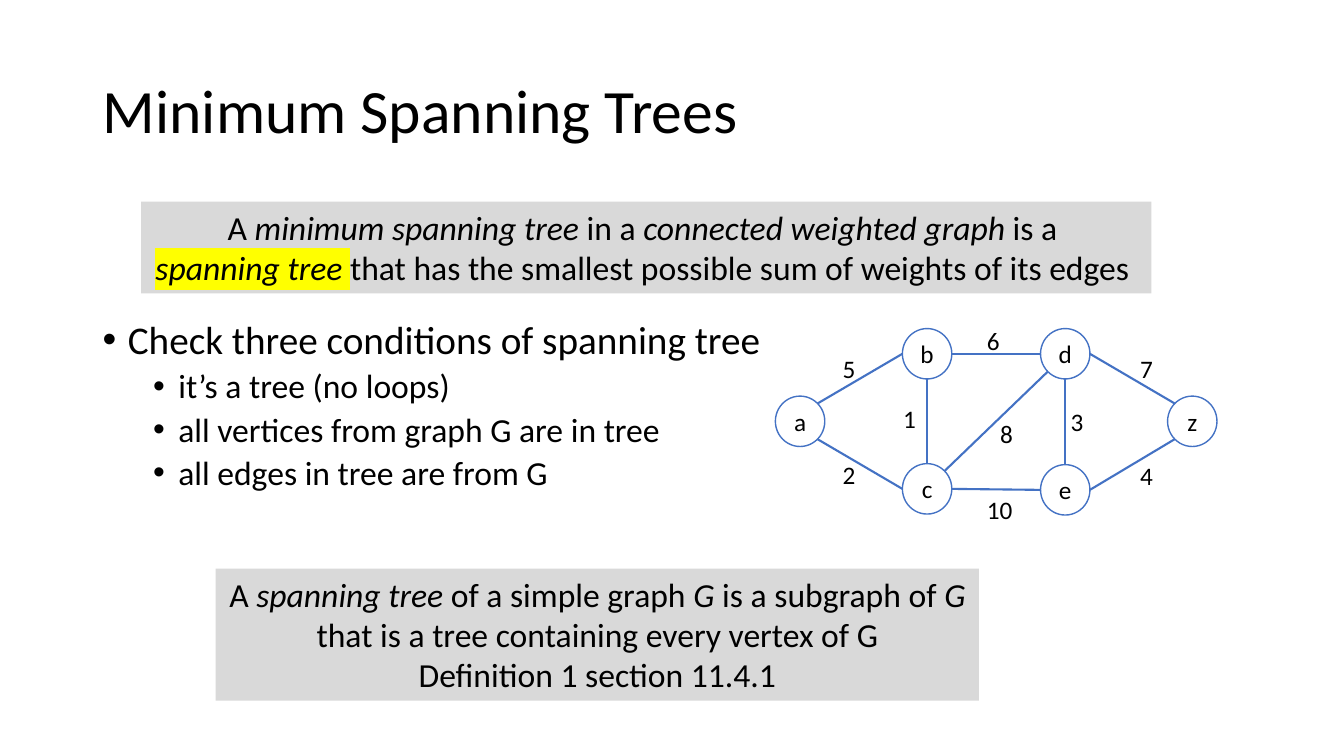
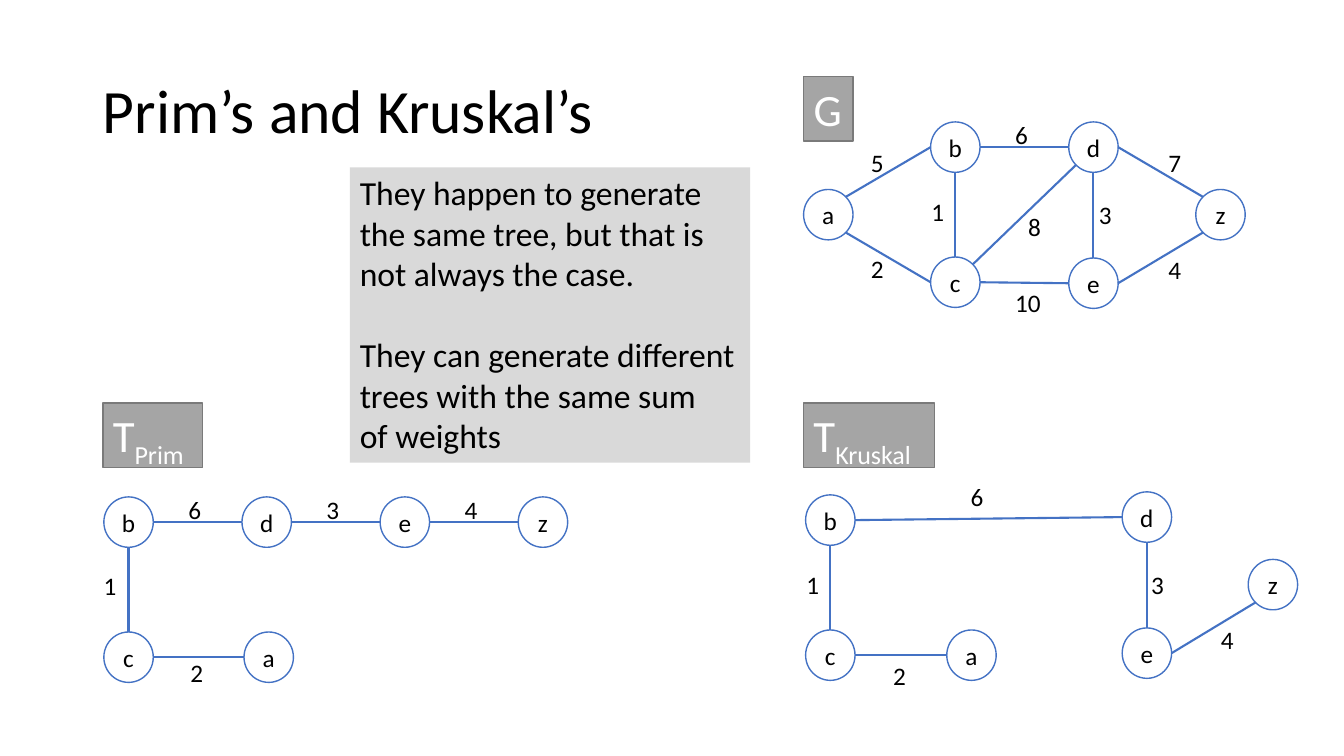
from math import sqrt

from lxml.etree import SubElement
from pptx import Presentation
from pptx.dml.color import RGBColor
from pptx.enum.shapes import MSO_CONNECTOR, MSO_SHAPE
from pptx.enum.text import MSO_ANCHOR, MSO_AUTO_SIZE, PP_ALIGN
from pptx.oxml.ns import qn
from pptx.util import Inches, Pt

BLACK = RGBColor(0x00, 0x00, 0x00)
WHITE = RGBColor(0xFF, 0xFF, 0xFF)
BLUE = RGBColor(0x44, 0x72, 0xC4)
LIGHT_GRAY = RGBColor(0xD9, 0xD9, 0xD9)
MID_GRAY = RGBColor(0xA5, 0xA5, 0xA5)
DARK_GRAY = RGBColor(0x7A, 0x7A, 0x7A)
YELLOW = RGBColor(0xFF, 0xFF, 0x00)

FONT = "Calibri"
TITLE_ONLY = 5
NODE_WIDTH, NODE_HEIGHT = 0.49, 0.5
LABEL_HEIGHT = 0.4
DIAGONAL = sqrt(0.5)
SITES = {
    "n": (0, -1), "s": (0, 1), "w": (-1, 0), "e": (1, 0),
    "nw": (-DIAGONAL, -DIAGONAL), "ne": (DIAGONAL, -DIAGONAL),
    "sw": (-DIAGONAL, DIAGONAL), "se": (DIAGONAL, DIAGONAL),
}

GRAPH_NODES = {
    "a": (0, 0.67), "b": (1.26, 0), "c": (1.26, 1.34),
    "d": (2.63, 0), "e": (2.63, 1.35), "z": (3.89, 0.67),
}
GRAPH_EDGES = [
    ("b", "s", "c", "n", "1", (1.17, 0.69)),
    ("d", "s", "e", "n", "3", (2.83, 0.72)),
    ("d", "w", "b", "e", "6", (2, -0.08)),
    ("e", "w", "c", "e", "10", (2, 1.59)),
    ("a", "ne", "b", "w", "5", (0.57, 0.2)),
    ("a", "se", "c", "w", "2", (0.57, 1.25)),
    ("d", "sw", "c", "ne", "8", (2.13, 0.84)),
    ("z", "nw", "d", "e", "7", (3.52, 0.2)),
    ("z", "sw", "e", "e", "4", (3.52, 1.26)),
]

KRUSKAL_NODES = {
    "a": (1.4, 1.37), "b": (0, 0.03), "c": (0, 1.37),
    "d": (3.14, 0), "e": (3.14, 1.35), "z": (4.39, 0.67),
}
KRUSKAL_EDGES = [
    ("b", "s", "c", "n", "1", (-0.09, 0.72)),
    ("a", "w", "c", "e", "2", (0.77, 1.62)),
    ("d", "s", "e", "n", "3", (3.33, 0.72)),
    ("z", "sw", "e", "e", "4", (4.02, 1.26)),
    ("d", "w", "b", "e", "6", (1.54, -0.15)),
]

PRIM_STEP = 1.37
PRIM_ROW = "bdez"
PRIM_NODES = {name: (index * PRIM_STEP, 0) for index, name in enumerate(PRIM_ROW)}
PRIM_NODES.update({"c": (0, 1.34), "a": (1.39, 1.34)})
PRIM_EDGES = [
    ("b", "s", "c", "n", "1", (-0.1, 0.68)),
    ("a", "w", "c", "e", "2", (0.76, 1.54)),
] + [
    (right, "w", left, "e", weight, (0.74 + index * PRIM_STEP, -0.08))
    for index, (left, right, weight) in enumerate(zip(PRIM_ROW, PRIM_ROW[1:], "634"))
]


def add_run(paragraph, text, size, color=BLACK, style=""):
    run = paragraph.add_run()
    run.text = text
    font = run.font
    font.size = Pt(size)
    font.color.rgb = color
    properties = run._r.get_or_add_rPr()
    if style in ("italic", "highlight"):
        font.italic = True
    if style == "highlight":
        highlight = SubElement(properties, qn("a:highlight"))
        SubElement(highlight, qn("a:srgbClr")).set("val", str(YELLOW))
    if style == "subscript":
        properties.set("baseline", "-25000")
    font.name = FONT


def next_paragraph(frame, index):
    return frame.add_paragraph() if index else frame.paragraphs[0]


def add_title(slide, text):
    title = slide.shapes.title
    title.left, title.top = Inches(0.92), Inches(0.4)
    title.width, title.height = Inches(11.5), Inches(1.45)
    frame = title.text_frame
    frame.auto_size = MSO_AUTO_SIZE.NONE
    frame.vertical_anchor = MSO_ANCHOR.MIDDLE
    paragraph = frame.paragraphs[0]
    paragraph.alignment = PP_ALIGN.LEFT
    paragraph.line_spacing = 0.9
    add_run(paragraph, text, 44)


def add_filled_shape(shapes, kind, box, fill, line=None):
    shape = shapes.add_shape(kind, *map(Inches, box))
    shape.shadow.inherit = False
    shape.fill.solid()
    shape.fill.fore_color.rgb = fill
    if line is None:
        shape.line.fill.background()
    else:
        shape.line.color.rgb = line
        shape.line.width = Pt(1)
    return shape


def fit_text(frame):
    frame.word_wrap = False
    frame.auto_size = MSO_AUTO_SIZE.SHAPE_TO_FIT_TEXT
    frame.vertical_anchor = MSO_ANCHOR.TOP


def add_panel(slide, box, lines, alignment, gap_before=None):
    panel = add_filled_shape(slide.shapes, MSO_SHAPE.RECTANGLE, box, LIGHT_GRAY)
    fit_text(panel.text_frame)
    for index, runs in enumerate(lines):
        paragraph = next_paragraph(panel.text_frame, index)
        paragraph.alignment = alignment
        if index == gap_before:
            paragraph.space_before = Pt(29.3)
        for text, style in runs:
            add_run(paragraph, text, 24, style=style)


def add_tag(slide, left, top, width, name, subscript=""):
    box = (left, top, width, 0.64)
    tag = add_filled_shape(slide.shapes, MSO_SHAPE.RECTANGLE, box, MID_GRAY, DARK_GRAY)
    fit_text(tag.text_frame)
    paragraph = tag.text_frame.paragraphs[0]
    paragraph.alignment = PP_ALIGN.LEFT
    add_run(paragraph, name, 32, WHITE)
    if subscript:
        add_run(paragraph, subscript, 32, WHITE, "subscript")


def add_bullets(slide, box, items):
    text_box = slide.shapes.add_textbox(*map(Inches, box))
    frame = text_box.text_frame
    frame.word_wrap = True
    for index, (level, text) in enumerate(items):
        paragraph = next_paragraph(frame, index)
        paragraph.level = level
        paragraph.line_spacing = 0.9
        paragraph.space_before = Pt(5 if level else 0)
        properties = paragraph._p.get_or_add_pPr()
        properties.set("marL", str(Inches(0.25 + 0.5 * level)))
        properties.set("indent", str(Inches(-0.25)))
        SubElement(properties, qn("a:buFont")).set("typeface", "Arial")
        SubElement(properties, qn("a:buChar")).set("char", "•")
        add_run(paragraph, text, 24 if level else 28)


def add_node(shapes, left, top, name):
    box = (left, top, NODE_WIDTH, NODE_HEIGHT)
    node = add_filled_shape(shapes, MSO_SHAPE.OVAL, box, WHITE, BLUE)
    node.text_frame.vertical_anchor = MSO_ANCHOR.MIDDLE
    paragraph = node.text_frame.paragraphs[0]
    paragraph.alignment = PP_ALIGN.CENTER
    add_run(paragraph, name, 18)


def site_point(corner, site):
    across, down = SITES[site]
    left, top = corner
    return (Inches(left + NODE_WIDTH / 2 * (1 + across)),
            Inches(top + NODE_HEIGHT / 2 * (1 + down)))


def add_edge(shapes, start, end):
    edge = shapes.add_connector(MSO_CONNECTOR.STRAIGHT, *start, *end)
    edge.line.color.rgb = BLUE
    edge.line.width = Pt(1.5)
    SubElement(edge._element.spPr, qn("a:effectLst"))


def add_weight(shapes, left, top, weight):
    width = 0.2 + 0.13 * len(weight)
    label = shapes.add_textbox(*map(Inches, (left, top, width, LABEL_HEIGHT)))
    fit_text(label.text_frame)
    add_run(label.text_frame.paragraphs[0], weight, 18)


def add_graph(slide, left, top, nodes, edges):
    shapes = slide.shapes.add_group_shape().shapes
    corners = {name: (left + x, top + y) for name, (x, y) in nodes.items()}
    for name, corner in corners.items():
        add_node(shapes, *corner, name)
    for start, start_site, end, end_site, weight, (x, y) in edges:
        add_edge(shapes, site_point(corners[start], start_site),
                 site_point(corners[end], end_site))
        add_weight(shapes, left + x, top + y, weight)


def add_titled_slide(presentation, title):
    slide = presentation.slides.add_slide(presentation.slide_layouts[TITLE_ONLY])
    add_title(slide, title)
    return slide


def build_definition_slide(presentation):
    slide = add_titled_slide(presentation, "Minimum Spanning Trees")
    add_panel(slide, (1.4, 2, 10.02, 0.91), [
        [("A ", ""), ("minimum spanning tree ", "italic"), ("in a ", ""),
         ("connected weighted graph ", "italic"), ("is a ", "")],
        [("spanning tree ", "highlight"),
         ("that has the smallest possible sum of weights of its edges ", "")],
    ], PP_ALIGN.CENTER)
    add_graph(slide, 7.69, 3.26, GRAPH_NODES, GRAPH_EDGES)
    add_panel(slide, (2.14, 5.64, 7.57, 1.31), [
        [("A ", ""), ("spanning tree ", "italic"), ("of a simple graph ", ""),
         ("G ", "italic"), ("is a subgraph of ", ""), ("G", "italic")],
        [("that is a tree containing every vertex of G", "")],
        [("Definition 1 section 11.4.1", "")],
    ], PP_ALIGN.CENTER)
    add_bullets(slide, (0.92, 3.13, 6.75, 1.9), [
        (0, "Check three conditions of spanning tree"),
        (1, "it’s a tree (no loops)"),
        (1, "all vertices from graph G are in tree"),
        (1, "all edges in tree are from G"),
    ])


def build_comparison_slide(presentation):
    slide = add_titled_slide(presentation, "Prim’s and Kruskal’s")
    add_tag(slide, 7.97, 4, 1.3, "T", "Kruskal")
    add_graph(slide, 7.99, 4.88, KRUSKAL_NODES, KRUSKAL_EDGES)
    add_graph(slide, 7.97, 1.21, GRAPH_NODES, GRAPH_EDGES)
    add_tag(slide, 7.97, 0.76, 0.49, "G")
    add_tag(slide, 1.02, 4, 0.99, "T", "Prim")
    add_graph(slide, 1.03, 4.93, PRIM_NODES, PRIM_EDGES)
    lines = [
        "They happen to generate",
        "the same tree, but that is",
        "not always the case.",
        "They can generate different",
        "trees with the same sum",
        "of weights",
    ]
    add_panel(slide, (3.47, 1.66, 3.97, 2.93), [[(line, "")] for line in lines],
              PP_ALIGN.LEFT, gap_before=3)


def main():
    presentation = Presentation()
    presentation.slide_width = Inches(13.33)
    presentation.slide_height = Inches(7.5)
    build_definition_slide(presentation)
    build_comparison_slide(presentation)
    presentation.save("out.pptx")


if __name__ == "__main__":
    main()
